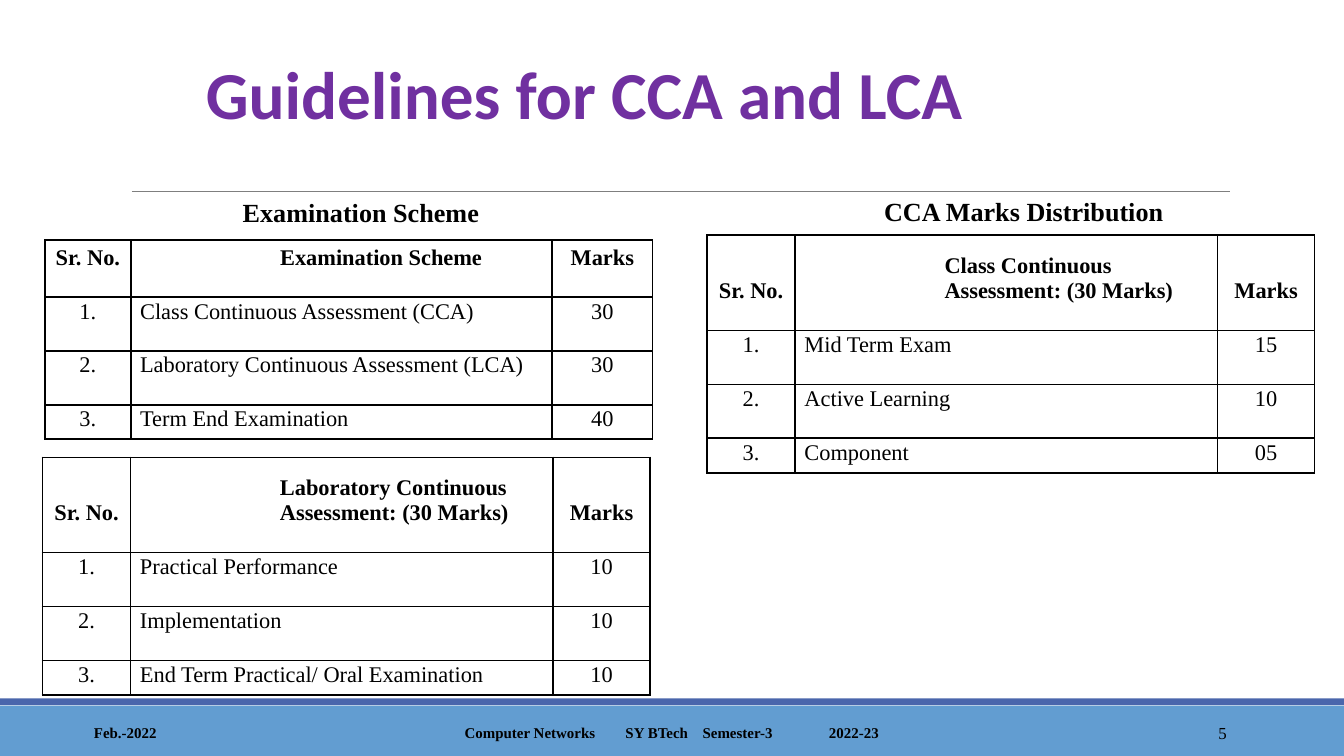
from dataclasses import dataclass

from lxml import etree
from pptx import Presentation
from pptx import util as u
from pptx.dml.color import RGBColor
from pptx.enum import shapes, text
from pptx.oxml import ns

Pt = u.Pt
ALIGN = text.PP_ALIGN
ANCHOR = text.MSO_ANCHOR


@dataclass(frozen=True)
class Theme:
    heading_font: str = "Calibri"
    body_font: str = "Times New Roman"
    black: str = "000000"
    purple: str = "7030A0"
    footer_blue: str = "629DD1"
    stripe_blue: str = "4A66AC"
    rule_gray: str = "7F7F7F"
    title_size: float = 36
    label_size: float = 14
    table_size: float = 12
    spacer_size: float = 2
    number_size: float = 9
    footer_size: float = 8


@dataclass(frozen=True)
class Box:
    left: float
    top: float
    width: float
    height: float

    def lengths(self) -> tuple:
        return Pt(self.left), Pt(self.top), Pt(self.width), Pt(self.height)


@dataclass(frozen=True)
class Band:
    box: Box
    color: str


@dataclass(frozen=True)
class Label:
    words: str
    box: Box
    size: float
    bold: bool = True
    align: ALIGN = ALIGN.LEFT
    anchor: ANCHOR = ANCHOR.MIDDLE
    margins: tuple = (5, 3, 5, 3)
    tabs: tuple = ()


@dataclass(frozen=True)
class MarksTable:
    left: float
    top: float
    columns: tuple
    header_height: float
    heading: str
    records: tuple


THEME = Theme()
RECORD_HEIGHT = 14.5
SPACER_HEIGHT = 14.4
LAST_SPACER_HEIGHT = 4
HEADING_INDENT = 80
RECORD_INDENT = 5
WIDE_COLUMNS = (47.2, 226.3, 52)

BANDS = (
    Band(Box(0, 378, 720, 27), THEME.footer_blue),
    Band(Box(0, 374.2, 720, 3.6), THEME.stripe_blue),
)

LABELS = (
    Label("5", Box(584.3, 381.6, 77.8, 21.6), THEME.number_size, bold=False, align=ALIGN.RIGHT),
    Label("Feb.-2022", Box(45.3, 381.6, 162, 21.6), THEME.footer_size),
    Label("\t".join(("Computer Networks", "SY BTech", "Semester-3", "2022-23")),
          Box(217.7, 381.6, 285.1, 21.6), THEME.footer_size,
          margins=(31.2, 3, 5, 3), tabs=(86.2, 127.5, 195.2)),
    Label("Examination Scheme", Box(104.1, 101.5, 178.6, 28.8), THEME.label_size,
          align=ALIGN.CENTER, anchor=ANCHOR.TOP, margins=(7.2, 3.6, 7.2, 3.6)),
    Label("CCA Marks Distribution", Box(444.5, 101.2, 208, 28.8), THEME.label_size,
          align=ALIGN.CENTER, anchor=ANCHOR.TOP, margins=(7.2, 3.6, 7.2, 3.6)),
)

TABLES = (
    MarksTable(24.1, 128.7, (46, 225.8, 53.7), 16, "Examination Scheme", (
        ("Class Continuous Assessment (CCA)", "30"),
        ("Laboratory Continuous Assessment (LCA)", "30"),
        ("Term End Examination", "40"))),
    MarksTable(378.8, 126, WIDE_COLUMNS, 36.6, "Class Continuous Assessment: (30 Marks)", (
        ("Mid Term Exam", "15"), ("Active Learning", "10"), ("Component", "05"))),
    MarksTable(22.8, 245, WIDE_COLUMNS, 36.6, "Laboratory Continuous Assessment: (30 Marks)", (
        ("Practical Performance", "10"), ("Implementation", "10"),
        ("End Term Practical/ Oral Examination", "10"))),
)


def write_text(frame, words: str, *, size: float, font: str = THEME.body_font,
               color: str = THEME.black, bold: bool = False, align: ALIGN = ALIGN.LEFT,
               line_spacing: float = 1.0, tabs: tuple = ()) -> None:
    paragraph = frame.paragraphs[0]
    paragraph.alignment = align
    paragraph.line_spacing = line_spacing
    if tabs:
        tab_list = etree.SubElement(paragraph._p.get_or_add_pPr(), ns.qn("a:tabLst"))
        for position in tabs:
            etree.SubElement(tab_list, ns.qn("a:tab"), pos=str(int(Pt(position))), algn="l")
    run = paragraph.add_run()
    run.text = words
    run.font.name = font
    run.font.size = Pt(size)
    run.font.bold = bold
    run.font.color.rgb = RGBColor.from_string(color)


def set_margins(target, margins: tuple) -> None:
    target.margin_left, target.margin_top, target.margin_right, target.margin_bottom = map(Pt, margins)


def draw_band(slide, band: Band) -> None:
    shape = slide.shapes.add_shape(shapes.MSO_SHAPE.RECTANGLE, *band.box.lengths())
    shape.shadow.inherit = False
    shape.fill.solid()
    shape.fill.fore_color.rgb = RGBColor.from_string(band.color)
    shape.line.fill.background()


def draw_rule(slide) -> None:
    rule = slide.shapes.add_connector(
        shapes.MSO_CONNECTOR.STRAIGHT, Pt(70.7), Pt(102.6), Pt(659), Pt(102.6))
    rule.line.color.rgb = RGBColor.from_string(THEME.rule_gray)
    rule.line.width = Pt(0.75)
    etree.SubElement(rule._element.spPr, ns.qn("a:effectLst"))


def draw_title(slide) -> None:
    title = slide.shapes.title
    title.left, title.top, title.width, title.height = Box(105.3, 17.3, 553.7, 56.9).lengths()
    frame = title.text_frame
    frame.auto_size = text.MSO_AUTO_SIZE.NONE
    frame.vertical_anchor = ANCHOR.BOTTOM
    set_margins(frame, (5, 3, 5, 3))
    write_text(frame, "Guidelines for CCA and LCA", size=THEME.title_size,
               font=THEME.heading_font, color=THEME.purple, bold=True, line_spacing=0.85)


def draw_label(slide, label: Label) -> None:
    frame = slide.shapes.add_textbox(*label.box.lengths()).text_frame
    frame.word_wrap = True
    frame.vertical_anchor = label.anchor
    set_margins(frame, label.margins)
    write_text(frame, label.words, size=label.size, bold=label.bold,
               align=label.align, tabs=label.tabs)


def outline_cell(cell, open_side: str) -> None:
    properties = cell._tc.get_or_add_tcPr()
    for index, side in enumerate(("lnL", "lnR", "lnT", "lnB")):
        border = etree.Element(ns.qn(f"a:{side}"), w=str(int(Pt(1))))
        if side == open_side:
            etree.SubElement(border, ns.qn("a:noFill"))
        else:
            fill = etree.SubElement(border, ns.qn("a:solidFill"))
            etree.SubElement(fill, ns.qn("a:srgbClr"), val=THEME.black)
        properties.insert(index, border)


def format_cell(cell, indent: float, open_side: str) -> None:
    cell.fill.background()
    cell.vertical_anchor = ANCHOR.BOTTOM
    set_margins(cell, (indent, 0, 0, 0))
    outline_cell(cell, open_side)


def fill_spacer(cell) -> None:
    format_cell(cell, 0, "lnT")
    paragraph = cell.text_frame.paragraphs[0]
    etree.SubElement(paragraph._p, ns.qn("a:endParaRPr"), sz=str(int(THEME.spacer_size * 100)))


def draw_table(slide, marks: MarksTable) -> None:
    rows = [("Sr. No.", marks.heading, "Marks")]
    rows += [(f"{number}.", *record) for number, record in enumerate(marks.records, 1)]
    heights = [marks.header_height, SPACER_HEIGHT]
    heights += [RECORD_HEIGHT, SPACER_HEIGHT] * len(marks.records)
    heights[-1] = LAST_SPACER_HEIGHT
    box = Box(marks.left, marks.top, sum(marks.columns), sum(heights))
    table = slide.shapes.add_table(len(heights), len(marks.columns), *box.lengths()).table
    table.first_row = table.horz_banding = False
    for column, width in zip(table.columns, marks.columns):
        column.width = Pt(width)
    for row, height in zip(table.rows, heights):
        row.height = Pt(height)
    for row_index, values in enumerate(rows):
        header = row_index == 0
        for column_index, value in enumerate(values):
            cell = table.cell(2 * row_index, column_index)
            named = column_index == 1
            indent = (HEADING_INDENT if header else RECORD_INDENT) if named else 0
            format_cell(cell, indent, "lnB")
            write_text(cell.text_frame, value, size=THEME.table_size, bold=header,
                       align=ALIGN.LEFT if named else ALIGN.CENTER)
            fill_spacer(table.cell(2 * row_index + 1, column_index))


def main() -> None:
    presentation = Presentation()
    presentation.slide_width, presentation.slide_height = Pt(720), Pt(405)
    slide = presentation.slides.add_slide(presentation.slide_layouts[5])
    for band in BANDS:
        draw_band(slide, band)
    draw_rule(slide)
    draw_title(slide)
    for label in LABELS:
        draw_label(slide, label)
    for marks in TABLES:
        draw_table(slide, marks)
    presentation.save("out.pptx")


if __name__ == "__main__":
    main()
